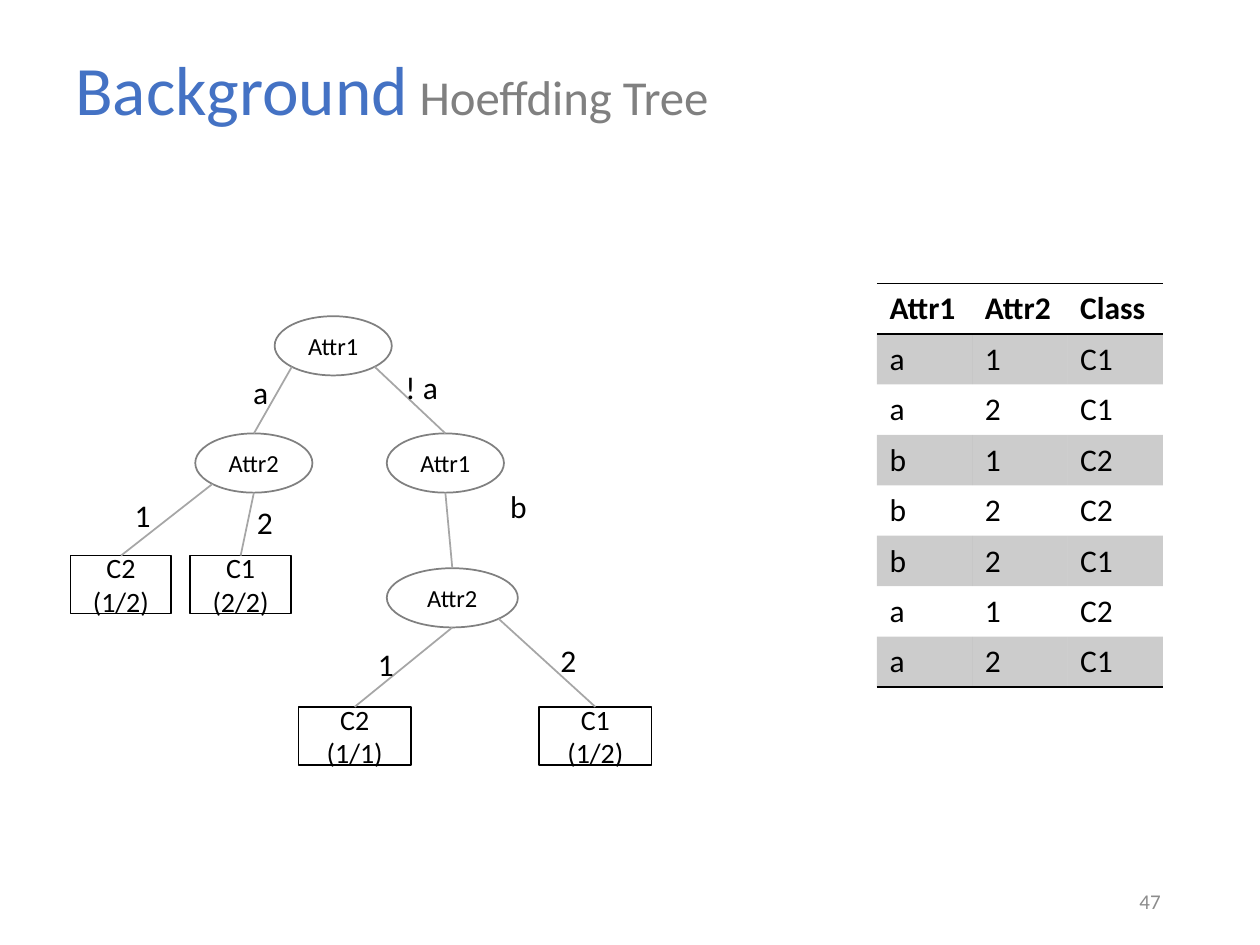
from math import cos, pi, sin

from lxml.etree import SubElement
from pptx import Presentation
from pptx.dml.color import RGBColor
from pptx.enum.shapes import MSO_CONNECTOR, MSO_SHAPE
from pptx.enum.text import MSO_ANCHOR, MSO_AUTO_SIZE, PP_ALIGN
from pptx.oxml import parse_xml
from pptx.oxml.ns import nsdecls, qn
from pptx.util import Inches, Pt

COLORS = {
    "title": "4472C4",
    "subtitle": "808080",
    "text": "000000",
    "page": "8C8C8C",
    "node": "808080",
    "edge": "A6A6A6",
    "rule": "000000",
}
FONT = "Calibri"
PLAIN_TABLE_STYLE = "{2D5ABB26-0587-4C30-8999-92F81FD0307C}"

# Tree nodes: name -> (text, left, top, width)
SPLITS = {
    "root": ("Attr1", 2.18, 2.51, 0.93),
    "is a": ("Attr2", 1.55, 3.44, 0.93),
    "not a": ("Attr1", 3.07, 3.44, 0.93),
    "is b": ("Attr2", 3.07, 4.51, 1.04),
}
LEAVES = {
    "a1": ("C2 (1/2)", 0.56, 4.41, 0.8),
    "a2": ("C1 (2/2)", 1.51, 4.41, 0.8),
    "b1": ("C2 (1/1)", 2.37, 5.61, 0.89),
    "b2": ("C1 (1/2)", 4.28, 5.61, 0.89),
}
# Angle on the parent ellipse where an edge starts, clockwise from the right
BOTTOM_RIGHT, BOTTOM, BOTTOM_LEFT = pi / 4, pi / 2, 3 * pi / 4
EDGES = [
    ("root", BOTTOM_LEFT, "is a"),
    ("root", BOTTOM_RIGHT, "not a"),
    ("is a", BOTTOM_LEFT, "a1"),
    ("is a", BOTTOM, "a2"),
    ("not a", BOTTOM, "is b"),
    ("is b", BOTTOM, "b1"),
    ("is b", BOTTOM_RIGHT, "b2"),
]
# Edge labels: text, left, top, width
LABELS = [
    ("a", 1.91, 2.91, 0.32),
    ("! a", 3.12, 2.87, 0.46),
    ("b", 3.95, 3.82, 0.34),
    ("1", 0.97, 3.89, 0.33),
    ("2", 1.94, 3.94, 0.33),
    ("1", 2.9, 5.07, 0.37),
    ("2", 4.35, 5.04, 0.37),
]
RECORDS = [
    ("Attr1", "Attr2", "Class"),
    ("a", "1", "C1"),
    ("a", "2", "C1"),
    ("b", "1", "C2"),
    ("b", "2", "C2"),
    ("b", "2", "C1"),
    ("a", "1", "C2"),
    ("a", "2", "C1"),
]


def color(name):
    return RGBColor.from_string(COLORS[name])


def add_run(paragraph, text, size, color_name="text", bold=False):
    run = paragraph.add_run()
    run.text = text
    for attribute, value in {"name": FONT, "size": Pt(size), "bold": bold}.items():
        setattr(run.font, attribute, value)
    run.font.color.rgb = color(color_name)


def add_text(shapes, box, runs, **frame_format):
    alignment = frame_format.pop("alignment", PP_ALIGN.LEFT)
    frame = shapes.add_textbox(*map(Inches, box)).text_frame
    for attribute, value in {"word_wrap": True, **frame_format}.items():
        setattr(frame, attribute, value)
    paragraph = frame.paragraphs[0]
    paragraph.alignment = alignment
    for run in runs:
        add_run(paragraph, *run)
    return paragraph


def add_node(shapes, preset, node, height, size, line_color):
    text, left, top, width = node
    shape = shapes.add_shape(preset, *map(Inches, (left, top, width, height)))
    shape.shadow.inherit = False
    shape.fill.background()
    shape.line.color.rgb = color(line_color)
    shape.line.width = Pt(1)
    frame = shape.text_frame
    frame.word_wrap = True
    frame.vertical_anchor = MSO_ANCHOR.MIDDLE
    frame.paragraphs[0].alignment = PP_ALIGN.CENTER
    add_run(frame.paragraphs[0], text, size)
    return shape


def add_edge(shapes, parent, angle, child):
    start_x = int(parent.left + parent.width / 2 * (1 + cos(angle)))
    start_y = int(parent.top + parent.height / 2 * (1 + sin(angle)))
    edge = shapes.add_connector(
        MSO_CONNECTOR.STRAIGHT, start_x, start_y, child.left + child.width // 2, child.top
    )
    edge.end_connect(child, 0)
    edge.line.color.rgb = color("edge")
    edge.line.width = Pt(1)
    SubElement(edge.element.spPr, qn("a:effectLst"))


def add_tree(slide):
    shapes = slide.shapes.add_group_shape().shapes
    nodes = {}
    for name, node in SPLITS.items():
        nodes[name] = add_node(shapes, MSO_SHAPE.OVAL, node, 0.47, 14, "node")
    for name, node in LEAVES.items():
        nodes[name] = add_node(shapes, MSO_SHAPE.RECTANGLE, node, 0.46, 16, "rule")
    for parent, angle, child in EDGES:
        add_edge(shapes, nodes[parent], angle, nodes[child])
    for text, left, top, width in LABELS:
        add_text(shapes, (left, top, width, 0.4), [(text, 18)],
                 word_wrap=False, auto_size=MSO_AUTO_SIZE.SHAPE_TO_FIT_TEXT)


def set_borders(cell, sides):
    properties = cell._tc.get_or_add_tcPr()
    for position, side in enumerate(sides):
        properties.insert(position, parse_xml(
            f'<a:ln{side} {nsdecls("a")} w="{Pt(1)}"><a:solidFill>'
            f'<a:srgbClr val="{COLORS["rule"]}"/></a:solidFill></a:ln{side}>'
        ))


def shade(cell, percent):
    cell.fill.solid()
    cell.fill.fore_color.rgb = color("rule")
    swatch = cell._tc.tcPr.find(".//" + qn("a:srgbClr"))
    SubElement(swatch, qn("a:alpha"), val=str(percent * 1000))


def add_records(slide):
    last = len(RECORDS) - 1
    graphic = slide.shapes.add_table(
        len(RECORDS), len(RECORDS[0]), *map(Inches, (6.96, 2.25, 2.27, 3.2))
    )
    table = graphic.table
    next(graphic.element.iter(qn("a:tableStyleId"))).text = PLAIN_TABLE_STYLE
    for row, record in enumerate(RECORDS):
        for column, value in enumerate(record):
            cell = table.cell(row, column)
            add_run(cell.text_frame.paragraphs[0], value, 18, bold=row == 0)
            if row % 2:
                shade(cell, 20)
            else:
                cell.fill.background()
            set_borders(cell, {0: "TB", last: "B"}.get(row, ""))


def main():
    presentation = Presentation()
    presentation.slide_width = Inches(10)
    presentation.slide_height = Inches(7.5)
    slide = presentation.slides.add_slide(presentation.slide_layouts[6])

    # Title and page number
    title = add_text(
        slide.shapes, (0.5, 0.4, 9.07, 0.67),
        [("Background", 39.6, "title"), (" Hoeffding Tree", 27.9, "subtitle")],
        vertical_anchor=MSO_ANCHOR.MIDDLE,
    )
    title.line_spacing = 0.9
    add_text(slide.shapes, (7.06, 6.95, 2.25, 0.4), [("47", 12, "page")],
             vertical_anchor=MSO_ANCHOR.MIDDLE, alignment=PP_ALIGN.RIGHT)

    # Training records and the tree grown from them
    add_records(slide)
    add_tree(slide)

    presentation.save("out.pptx")


if __name__ == "__main__":
    main()
